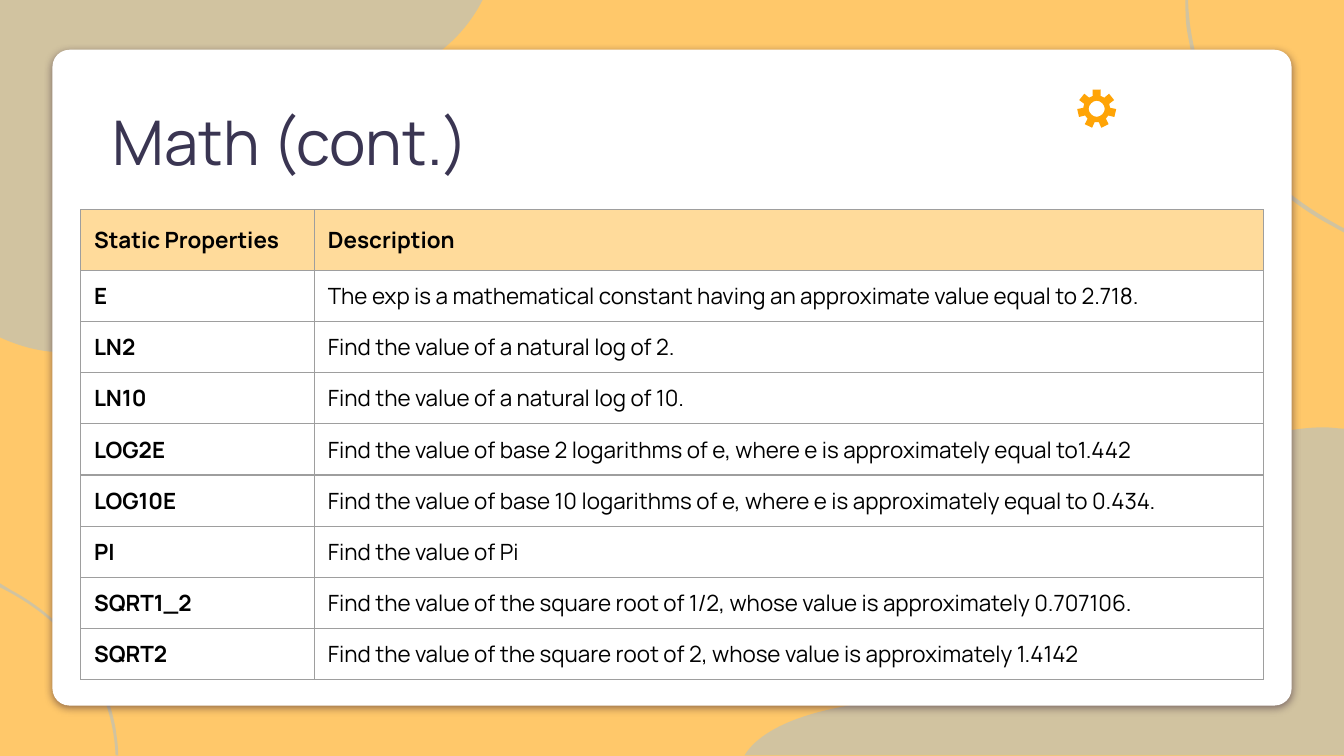
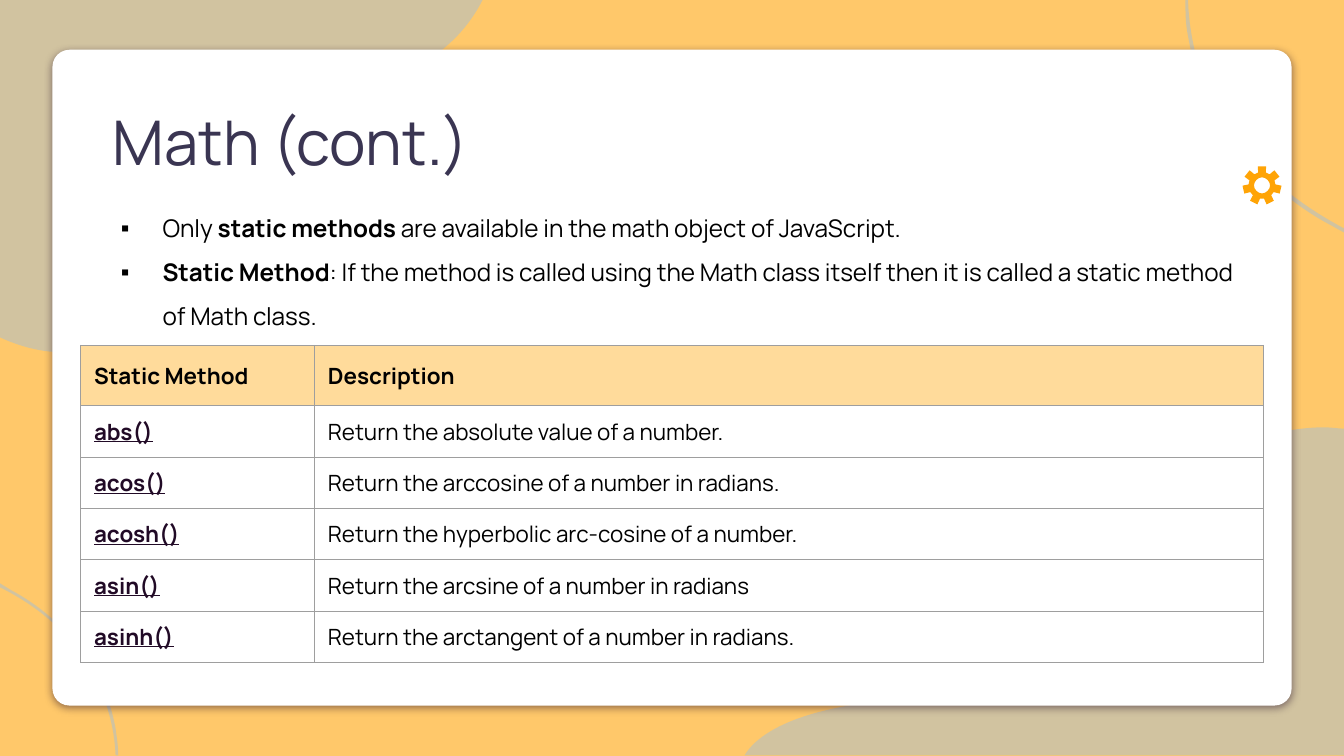
from math import cos, pi, radians, sin

from lxml.etree import SubElement
from pptx import Presentation
from pptx.dml.color import RGBColor
from pptx.enum.shapes import MSO_SHAPE as Shape
from pptx.enum.text import MSO_ANCHOR as Anchor, MSO_AUTO_SIZE as AutoSize, PP_ALIGN as Align
from pptx.oxml import parse_xml
from pptx.oxml.ns import nsdecls, qn
from pptx.util import Inches, Pt

FONT = "Manrope"
COLORS = {
    "background": "FFC86A",
    "blob": "A0BFDB",
    "card": "FFFFFF",
    "plum": "210A26",
    "gear": "FFA406",
    "title": "3A3552",
    "text": "000000",
    "header": "FFDB9B",
    "border": "9E9E9E",
}

# Each blob: a start point, then lines (x, y) and Bezier curves (x1, y1, x2, y2, x, y)
BLOBS = [
    [(8.84, 0), (8.85, 0.36, 8.97, 0.73, 9.18, 1.02), (9.4, 1.31, 9.68, 1.53, 10, 1.7),
     (10, 1.73), (9.96, 1.71, 9.93, 1.69, 9.89, 1.67), (9.63, 1.53, 9.4, 1.33, 9.21, 1.1),
     (9.02, 0.86, 8.89, 0.57, 8.84, 0.27), (8.82, 0.18, 8.82, 0.09, 8.82, 0)],
    [(0.45, 2.62), (0.22, 2.62, 0, 2.51, 0, 2.51), (0, 0), (3.59, 0),
     (3.13, 0.91, 1.71, 0.73, 1.12, 0.91), (0.53, 1.09, 1.18, 1.96, 0.86, 2.42),
     (0.75, 2.58, 0.6, 2.62, 0.45, 2.62)],
    [(5.54, 5.62), (5.7, 5.36, 6.24, 5.19, 7.12, 5.19), (7.15, 5.19, 7.18, 5.19, 7.22, 5.19),
     (7.23, 5.19, 7.24, 5.19, 7.25, 5.19), (8.57, 5.19, 8.01, 4.03, 8.99, 3.42),
     (9.25, 3.26, 9.6, 3.18, 9.85, 3.18), (9.91, 3.18, 9.96, 3.19, 10, 3.19), (10, 5.62)],
    [(0.86, 5.62), (0.85, 5.36, 0.76, 5.09, 0.6, 4.87), (0.45, 4.65, 0.24, 4.49, 0, 4.37),
     (0, 4.34), (0.03, 4.36, 0.05, 4.37, 0.08, 4.39), (0.27, 4.49, 0.45, 4.64, 0.59, 4.81),
     (0.73, 4.99, 0.82, 5.2, 0.86, 5.42), (0.87, 5.49, 0.88, 5.56, 0.88, 5.62)],
]

TOPICS = [
    {
        "layout": 5,
        "gear": (8.16, 0.81),
        "title_width": 3.35,
        "bullets": [],
        "table_top": 1.56,
        "table_height": 3.5,
        "term_style": {"bold": True},
        "rows": [
            ("Static Properties", "Description"),
            ("E", "The exp is a mathematical constant having an approximate value equal to 2.718."),
            ("LN2", "Find the value of a natural log of 2."),
            ("LN10", "Find the value of a natural log of 10."),
            ("LOG2E", "Find the value of base 2 logarithms of e, where e is approximately equal to1.442"),
            ("LOG10E", "Find the value of base 10 logarithms of e, where e is approximately equal to 0.434."),
            ("PI", "Find the value of Pi"),
            ("SQRT1_2", "Find the value of the square root of 1/2, whose value is approximately 0.707106."),
            ("SQRT2", "Find the value of the square root of 2, whose value is approximately 1.4142"),
        ],
    },
    {
        "layout": 1,
        "gear": (9.39, 1.38),
        "title_width": 3.6,
        "bullets": [
            [("Only ", False), ("static methods ", True),
             ("are available in the math object of JavaScript.", False)],
            [("Static Method", True),
             (": If the method is called using the Math class itself then it is called "
              "a static method of Math class.", False)],
        ],
        "table_top": 2.57,
        "table_height": 2.36,
        "term_style": {"bold": True, "color": "plum", "underline": True},
        "rows": [
            ("Static Method", "Description"),
            ("abs()", "Return the absolute value of a number."),
            ("acos()", "Return the arccosine of a number in radians."),
            ("acosh()", "Return the hyperbolic arc-cosine of a number."),
            ("asin()", "Return the arcsine of a number in radians"),
            ("asinh()", "Return the arctangent of a number in radians."),
        ],
    },
]


def add_outline(shapes, contours, color):
    """Fill closed contours of lines and Bezier curves, in inches; inner ones become holes."""
    builder = None
    curve_starts = []
    line_count = 0
    for (x, y), *segments in contours:
        if builder is None:
            builder = shapes.build_freeform(Inches(x), Inches(y))
        else:
            builder.move_to(Inches(x), Inches(y))
        points = []
        for segment in segments:
            if len(segment) == 6:
                curve_starts.append(line_count + len(points))
            points += zip(map(Inches, segment[::2]), map(Inches, segment[1::2]))
        builder.add_line_segments(points)
        # A closed contour whose end differs from its start is closed without a further point
        line_count += len(points)
    outline = builder.convert_to_shape()
    outline.shadow.inherit = False
    outline.fill.solid()
    outline.fill.fore_color.rgb = RGBColor.from_string(COLORS[color])
    outline.line.fill.background()
    # Join the three straight steps of every curve into one Bezier element
    lines = list(outline.element.iter(qn("a:lnTo")))
    for start in curve_starts:
        first, *rest = lines[start:start + 3]
        first.tag = qn("a:cubicBezTo")
        for line in rest:
            first.append(line[0])
            line.getparent().remove(line)
    return outline


def add_run(paragraph, text, size, color="text", bold=False, underline=False):
    run = paragraph.add_run()
    run.text = text
    run.font.name = FONT
    run.font.size = Pt(size)
    run.font.bold = bold
    run.font.underline = underline
    run.font.color.rgb = RGBColor.from_string(COLORS[color])


prs = Presentation()
prs.slide_width = Inches(10)
prs.slide_height = Inches(10) * 9 // 16
master = prs.slide_master
master.background.fill.solid()
master.background.fill.fore_color.rgb = RGBColor.from_string(COLORS["background"])
slides = [prs.slides.add_slide(prs.slide_layouts[topic["layout"]]) for topic in TOPICS]

# Backdrop: drawn once, then moved to the master behind its placeholders
backdrop = []
for contour in BLOBS:
    blob = add_outline(slides[0].shapes, [contour], "blob")
    tint = blob.element.spPr.find(qn("a:solidFill"))[0]
    SubElement(tint, qn("a:alpha"), val="48000")
    backdrop.append(blob)

card = slides[0].shapes.add_shape(
    Shape.ROUNDED_RECTANGLE, Inches(0.39), Inches(0.37), Inches(9.22), Inches(4.88))
card.adjustments[0] = 0.026
card.fill.solid()
card.fill.fore_color.rgb = RGBColor.from_string(COLORS["card"])
card.line.fill.background()
card.element.spPr.append(parse_xml(
    f'<a:effectLst {nsdecls("a")}><a:outerShdw blurRad="{Pt(4.5)}" dist="{Pt(1.5)}" '
    f'dir="5400000" algn="bl" rotWithShape="0"><a:srgbClr val="{COLORS["plum"]}">'
    '<a:alpha val="50000"/></a:srgbClr></a:outerShdw></a:effectLst>'))
backdrop.append(card)

for order, part in enumerate(backdrop):
    part.element.nvSpPr.cNvPr.set("id", str(100 + order))
    master.shapes.element.insert(2 + order, part.element)

for slide, topic in zip(slides, TOPICS):
    # Gear: a round hole inside seven tapered teeth joined by shallow curves
    x, y = topic["gear"]
    r, k = 0.06, 0.03
    hole = [(x, y - r), (x + k, y - r, x + r, y - k, x + r, y),
            (x + r, y + k, x + k, y + r, x, y + r), (x - k, y + r, x - r, y + k, x - r, y),
            (x - r, y - k, x - k, y - r, x, y - r)]
    teeth = []
    for tooth in range(7):
        corners = []
        for degrees, radius in [(-17, 0.1), (-12, 0.145), (12, 0.145), (17, 0.1),
                                (23, 0.1), (29, 0.1), (34.4, 0.1)]:
            angle = 2 * pi * tooth / 7 + radians(degrees)
            corners.append((x + radius * sin(angle), y - radius * cos(angle)))
        if tooth == 0:
            teeth.append(corners[0])
        teeth += corners[1:4]
        teeth.append(corners[4] + corners[5] + corners[6])
    add_outline(slide.shapes, [hole, teeth], "gear")

    title = slide.shapes.title
    title.left, title.top = Inches(0.74), Inches(0.59)
    title.width, title.height = Inches(topic["title_width"]), Inches(0.78)
    heading = title.text_frame
    heading.auto_size = AutoSize.NONE
    heading.vertical_anchor = Anchor.TOP
    heading.margin_left = heading.margin_right = Inches(0.1)
    heading.margin_top = heading.margin_bottom = Inches(0.1)
    heading.paragraphs[0].alignment = Align.LEFT
    heading.paragraphs[0].line_spacing = 1.15
    add_run(heading.paragraphs[0], "Math (cont.)", 33, "title")

    if topic["bullets"]:
        body = slide.placeholders[1]
        body.left, body.top, body.width, body.height = map(Inches, (0.8, 1.43, 8.57, 1.05))
        facts = body.text_frame
        facts.auto_size = AutoSize.SHAPE_TO_FIT_TEXT
        for index, bullet in enumerate(topic["bullets"]):
            paragraph = facts.add_paragraph() if index else facts.paragraphs[0]
            paragraph.line_spacing = 1.5
            paragraph.space_before = Pt(0)
            props = paragraph._p.get_or_add_pPr()
            props.set("marL", str(Inches(0.31)))
            props.set("indent", str(-Inches(0.31)))
            bullet_color = SubElement(props, qn("a:buClr"))
            SubElement(bullet_color, qn("a:srgbClr"), val=COLORS["text"])
            SubElement(props, qn("a:buChar"), char="▪")
            for text, bold in bullet:
                add_run(paragraph, text, 13, bold=bold)

    rows = topic["rows"]
    header_height = 0.45
    row_height = (topic["table_height"] - header_height) / (len(rows) - 1)
    table = slide.shapes.add_table(
        len(rows), 2, Inches(0.6), Inches(topic["table_top"]),
        Inches(8.8), Inches(topic["table_height"])).table
    table.horz_banding = False
    table.columns[0].width = Inches(1.74)
    table.columns[1].width = Inches(7.06)
    for r, row in enumerate(rows):
        table.rows[r].height = Inches(row_height if r else header_height)
        for c, text in enumerate(row):
            cell = table.cell(r, c)
            cell.vertical_anchor = Anchor.MIDDLE
            for side in ("lnL", "lnR", "lnT", "lnB"):
                cell._tc.get_or_add_tcPr().append(parse_xml(
                    f'<a:{side} {nsdecls("a")} w="{Pt(0.75)}"><a:solidFill>'
                    f'<a:srgbClr val="{COLORS["border"]}"/></a:solidFill></a:{side}>'))
            if r == 0:
                cell.fill.solid()
                cell.fill.fore_color.rgb = RGBColor.from_string(COLORS["header"])
                style = {"bold": True}
            else:
                cell.fill.background()
                style = topic["term_style"] if c == 0 else {}
            add_run(cell.text_frame.paragraphs[0], text, 12, **style)

prs.save("out.pptx")
